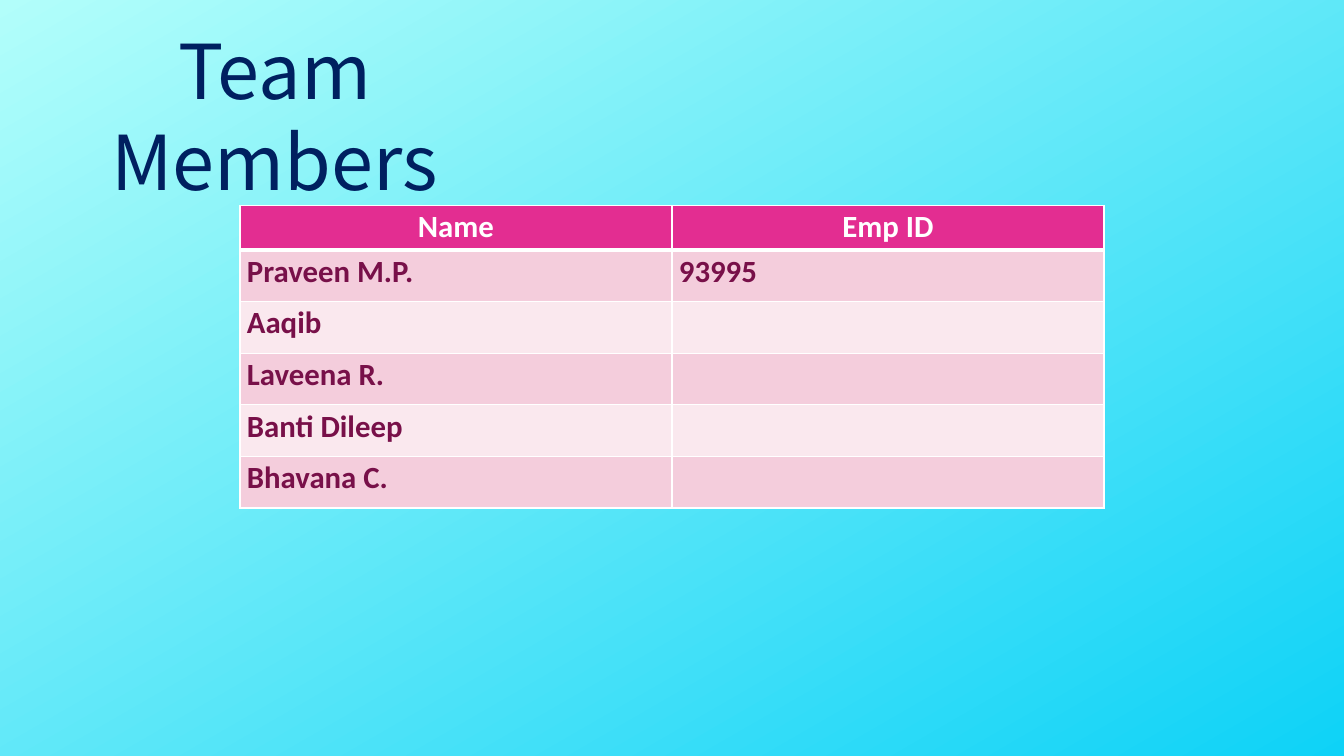
"""Build the Team Members slide: a title above a table of names and IDs."""
from dataclasses import dataclass

from lxml.etree import SubElement
from pptx import Presentation
from pptx.dml.color import RGBColor
from pptx.enum.text import PP_ALIGN
from pptx.oxml.ns import qn
from pptx.util import Inches, Pt

TITLE = "Team Members"
HEADERS = ("Name", "Emp ID")
MEMBERS = [
    ("Praveen M.P.", "93995"),
    ("Aaqib", ""),
    ("Laveena R.", ""),
    ("Banti Dileep", ""),
    ("Bhavana C.", ""),
]


@dataclass(frozen=True)
class Theme:
    title_font: str = "Noto Sans CJK SC"
    table_font: str = "Calibri"
    title_size: int = 54
    table_size: int = 22
    title_color: str = "002060"
    header_fill: str = "E32D91"
    header_text: str = "FFFFFF"
    member_text: str = "781049"
    bands: tuple = ("F4CDDC", "FAE8EE")
    border: str = "FFFFFF"
    gradient: tuple = ("0ED2F7", "B2FEFA")
    gradient_angle: int = 120


THEME = Theme()
SLIDE_SIZE = (13.33, 7.5)
TITLE_BOX = (0.35, 0.19, 4.75, 1.01)
TABLE_LEFT, TABLE_TOP = 2.38, 2.04
COLUMN_WIDTH, HEADER_HEIGHT, MEMBER_HEIGHT = 4.285, 0.44, 0.512
MARGIN_X, MARGIN_Y = 0.07, 0.03


def style_font(paragraph, name, size, color, bold=False):
    font = paragraph.font
    font.name, font.size, font.bold = name, Pt(size), bold
    font.color.rgb = RGBColor.from_string(color)


def add_borders(cell, top, bottom):
    properties = cell._tc.get_or_add_tcPr()
    widths = (("lnL", 1), ("lnR", 1), ("lnT", top), ("lnB", bottom))
    for index, (side, width) in enumerate(widths):
        line = properties.makeelement(qn(f"a:{side}"), {"w": str(Pt(width))})
        properties.insert(index, line)
        fill = SubElement(line, qn("a:solidFill"))
        SubElement(fill, qn("a:srgbClr"), val=THEME.border)


def fill_cell(cell, text, row):
    is_header = row == 0
    cell.margin_left = cell.margin_right = Inches(MARGIN_X)
    cell.margin_top = cell.margin_bottom = Inches(MARGIN_Y)
    cell.text = text
    paragraph = cell.text_frame.paragraphs[0]
    paragraph.alignment = PP_ALIGN.CENTER if is_header else PP_ALIGN.LEFT
    color = THEME.header_text if is_header else THEME.member_text
    style_font(paragraph, THEME.table_font, THEME.table_size, color, True)
    cell.fill.solid()
    band = THEME.header_fill if is_header else THEME.bands[(row - 1) % 2]
    cell.fill.fore_color.rgb = RGBColor.from_string(band)
    add_borders(cell, top=3 if row == 1 else 1, bottom=3 if is_header else 1)


def add_background(slide):
    fill = slide.background.fill
    fill.gradient()
    fill.gradient_angle = THEME.gradient_angle
    for stop, color in zip(fill.gradient_stops, THEME.gradient):
        stop.color.rgb = RGBColor.from_string(color)


def add_title(slide):
    frame = slide.shapes.add_textbox(*map(Inches, TITLE_BOX)).text_frame
    frame.word_wrap = True
    frame.text = TITLE
    paragraph = frame.paragraphs[0]
    paragraph.alignment = PP_ALIGN.CENTER
    style_font(paragraph, THEME.title_font, THEME.title_size, THEME.title_color)


def add_members(slide):
    rows = [HEADERS, *MEMBERS]
    width = COLUMN_WIDTH * len(HEADERS)
    height = HEADER_HEIGHT + MEMBER_HEIGHT * len(MEMBERS)
    bounds = map(Inches, (TABLE_LEFT, TABLE_TOP, width, height))
    table = slide.shapes.add_table(len(rows), len(HEADERS), *bounds).table
    for column in table.columns:
        column.width = Inches(COLUMN_WIDTH)
    for index, values in enumerate(rows):
        table.rows[index].height = Inches(MEMBER_HEIGHT if index else HEADER_HEIGHT)
        for column, text in enumerate(values):
            fill_cell(table.cell(index, column), text, index)


presentation = Presentation()
presentation.slide_width, presentation.slide_height = map(Inches, SLIDE_SIZE)
slide = presentation.slides.add_slide(presentation.slide_layouts[6])
add_background(slide)
add_members(slide)
add_title(slide)
presentation.save("out.pptx")
